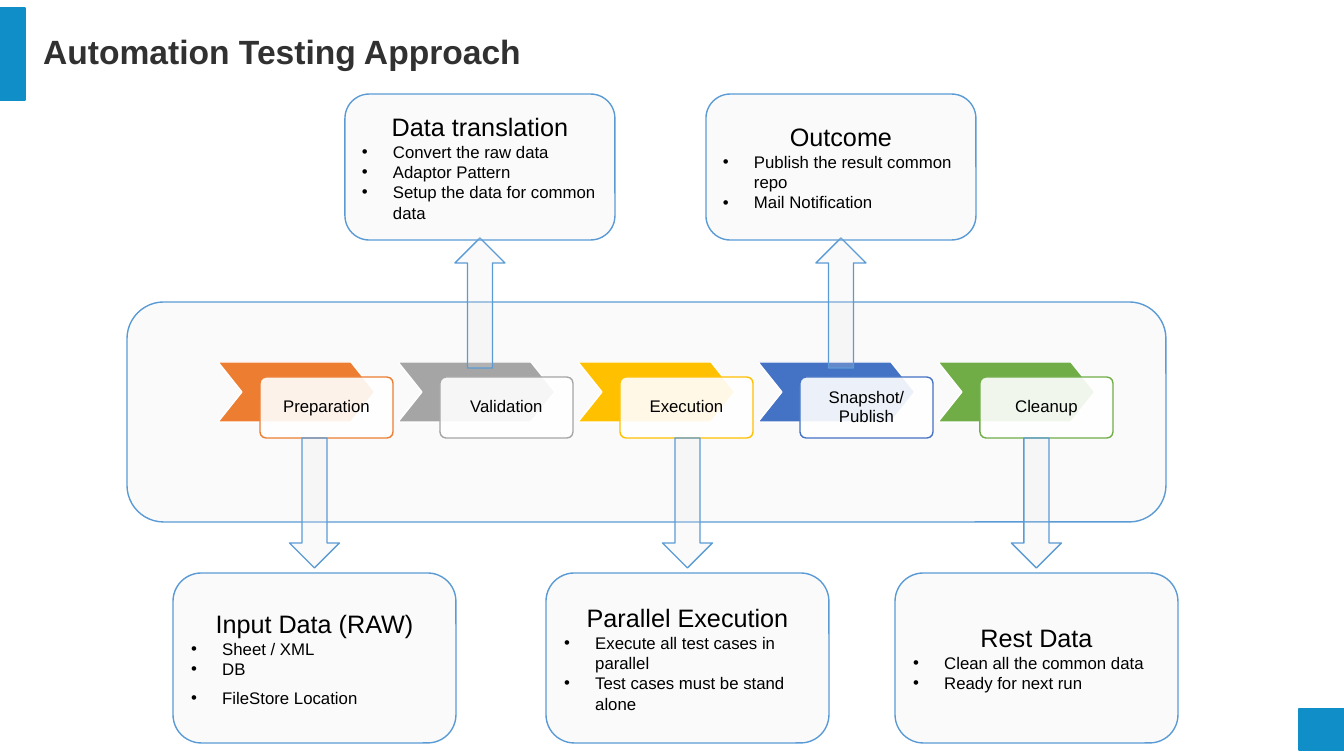
from lxml import etree
from pptx import Presentation
from pptx.dml.color import RGBColor
from pptx.enum.shapes import MSO_SHAPE as SHAPE
from pptx.enum.text import MSO_ANCHOR as ANCHOR, PP_ALIGN as ALIGN
from pptx.oxml.ns import qn
from pptx.util import Pt

WIDTH, HEIGHT = 1344, 756
SCALE = 12192000 / WIDTH
FONT = "Arial"
ACCENT, OUTLINE, PALE = "0F8EC7", "5B9BD5", "E7E6E6"
BLACK, WHITE, DARK = "000000", "FFFFFF", "313131"

STAGES = [
    ("Preparation", "ED7D31"),
    ("Validation", "A5A5A5"),
    ("Execution", "FFC000"),
    ("Snapshot/ Publish", "4472C4"),
    ("Cleanup", "70AD47"),
]
# Left edge, heading, bullets, points of space above the last bullet
UPPER_NOTES = [
    (345, "Data translation",
     ["Convert the raw data", "Adaptor Pattern", "Setup the data for common data"], 0),
    (706, "Outcome", ["Publish the result common repo", "Mail Notification"], 0),
]
LOWER_NOTES = [
    (173, "Input Data (RAW)", ["Sheet / XML", "DB", "FileStore Location"], 6),
    (546, "Parallel Execution",
     ["Execute all test cases in parallel", "Test cases must be stand alone"], 0),
    (895, "Rest Data", ["Clean all the common data", "Ready for next run"], 0),
]


def px(length):
    return round(length * SCALE)


def paint(color_format, color):
    color_format.rgb = RGBColor.from_string(color)


def add_box(page, kind, box, fill, line, opacity=100):
    """Add a preset shape at box (left, top, width, height), opacity in percent."""
    shape = page.shapes.add_shape(kind, *map(px, box))
    shape.shadow.inherit = False
    shape.fill.solid()
    paint(shape.fill.fore_color, fill)
    paint(shape.line.color, line)
    shape.line.width = Pt(1)
    if opacity < 100:
        color = shape.fill._xPr.find(qn("a:solidFill"))[0]
        etree.SubElement(color, qn("a:alpha"), val=str(opacity * 1000))
    return shape


def add_span(para, text, size, color=BLACK, bold=False):
    span = para.add_run()
    span.text = text
    span.font.name = FONT
    span.font.size = Pt(size)
    span.font.bold = bold
    paint(span.font.color, color)


def add_bullet(para):
    para.alignment = ALIGN.LEFT
    props = para._p.get_or_add_pPr()
    props.set("marL", str(px(31)))
    props.set("indent", str(-px(31)))
    etree.SubElement(props, qn("a:buFont"), typeface=FONT)
    etree.SubElement(props, qn("a:buChar"), char="•")


def add_title(page, text, box):
    title = page.shapes.title
    title.left, title.top, title.width, title.height = map(px, box)
    title.text_frame.vertical_anchor = ANCHOR.MIDDLE
    para = title.text_frame.paragraphs[0]
    para.alignment = ALIGN.LEFT
    para.line_spacing = 0.9
    add_span(para, text, 24, DARK, bold=True)


def add_stage(page, left, top, label, color):
    chevron = add_box(page, SHAPE.CHEVRON, (left, top, 157, 60), color, WHITE)
    chevron.adjustments[0] = 0.4
    card = add_box(page, SHAPE.ROUNDED_RECTANGLE, (left + 42, top + 15, 133, 61),
                   WHITE, color, 90)
    card.adjustments[0] = 0.1
    frame = card.text_frame
    frame.word_wrap = True
    frame.vertical_anchor = ANCHOR.MIDDLE
    para = frame.paragraphs[0]
    para.alignment = ALIGN.CENTER
    para.line_spacing = 0.9
    add_span(para, label, 12)


def add_pipeline(page, box):
    """Add the pale panel with the row of stages."""
    left, top = box[:2]
    add_box(page, SHAPE.ROUNDED_RECTANGLE, box, PALE, OUTLINE, 20)
    for index, (label, color) in enumerate(STAGES):
        add_stage(page, left + 91 + index * 180, top + 60, label, color)


def add_note(page, box, arrow_kind, arrow_top, heading, bullets, last_gap):
    """Add a note and the block arrow centred on it."""
    left, top, width, height = box
    arrow_box = (left + width / 2 - 25, arrow_top, 50, 130)
    add_box(page, arrow_kind, arrow_box, PALE, OUTLINE, 20)
    note = add_box(page, SHAPE.ROUNDED_RECTANGLE, box, PALE, OUTLINE, 20)
    frame = note.text_frame
    frame.word_wrap = True
    frame.vertical_anchor = ANCHOR.MIDDLE
    para = frame.paragraphs[0]
    para.alignment = ALIGN.CENTER
    add_span(para, heading, 18)
    for bullet in bullets:
        para = frame.add_paragraph()
        add_bullet(para)
        add_span(para, bullet, 12)
    if last_gap:
        para.space_before = Pt(last_gap)


def add_approach_slide(deck):
    page = deck.slides.add_slide(deck.slide_layouts[5])
    add_box(page, SHAPE.RECTANGLE, (1299, 709, 45, 41), ACCENT, ACCENT)
    add_box(page, SHAPE.RECTANGLE, (0, 8, 25, 92), ACCENT, ACCENT)
    add_title(page, "Automation Testing Approach", (33, 8, 1289, 91))
    add_pipeline(page, (127, 302, 1039, 220))
    for left, *content in UPPER_NOTES:
        add_note(page, (left, 94, 270, 146), SHAPE.UP_ARROW, 238, *content)
    for left, *content in LOWER_NOTES:
        add_note(page, (left, 573, 283, 170), SHAPE.DOWN_ARROW, 438, *content)


def main():
    deck = Presentation()
    deck.slide_width, deck.slide_height = px(WIDTH), px(HEIGHT)
    add_approach_slide(deck)
    deck.save("out.pptx")


if __name__ == "__main__":
    main()
